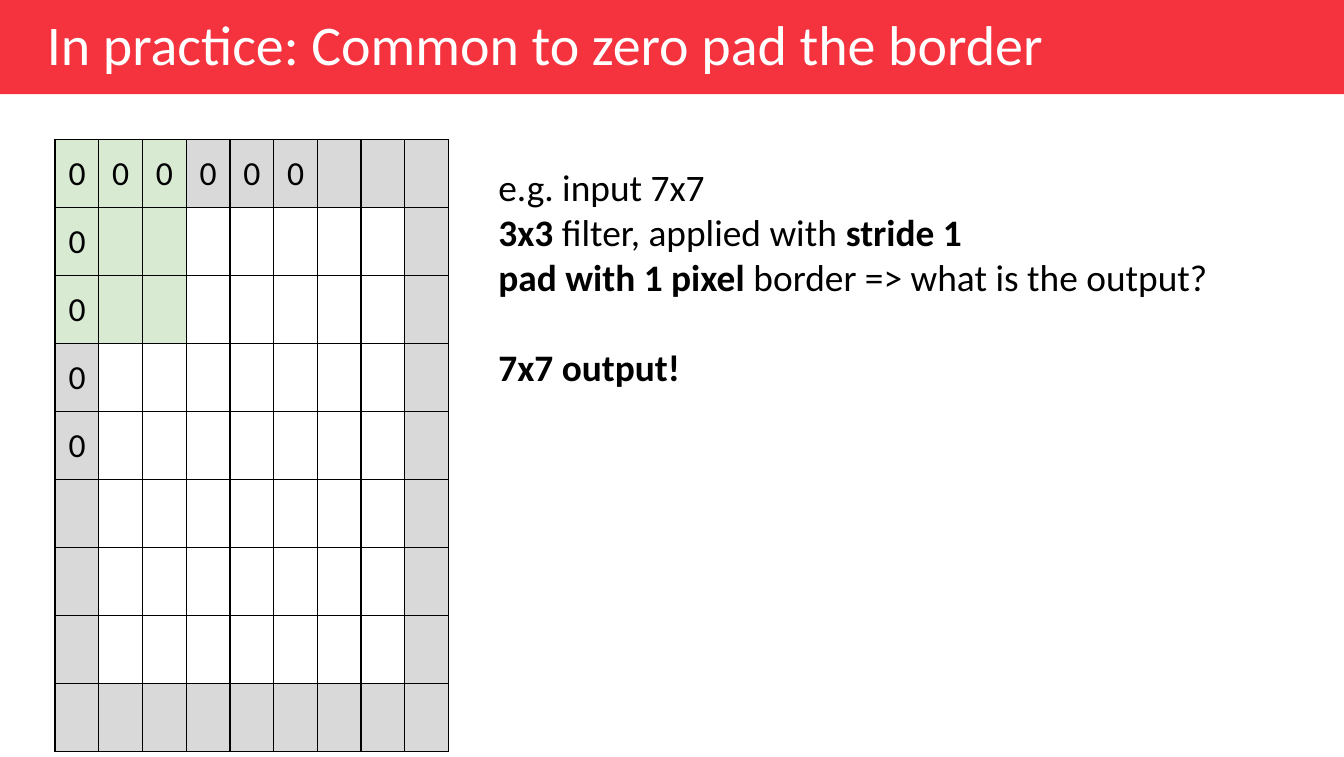
import pptx
import pptx.dml.color
import pptx.enum.shapes
import pptx.enum.text
import pptx.oxml
import pptx.oxml.ns
import pptx.util
from pptx.util import Inches

RGBColor = pptx.dml.color.RGBColor
RED = RGBColor(0xF5, 0x33, 0x3E)
GREEN = RGBColor(0xD9, 0xEA, 0xD3)
GRAY = RGBColor(0xD9, 0xD9, 0xD9)
WHITE = RGBColor(0xFF, 0xFF, 0xFF)
BLACK = RGBColor(0x00, 0x00, 0x00)
FONT = "Calibri"

# Content: each line is (space before in points, [(text, bold), ...])
TITLE = [(0, [("In practice: Common to zero pad the border", False)])]
BODY = [
    (0, [("e.g. input 7x7", False)]),
    (0, [("3x3", True), (" filter, applied with ", False), ("stride 1", True)]),
    (0, [("pad with 1 pixel", True), (" border => what is the output?", False)]),
    (24.4, [("7x7 output!", True)]),
]
GRID = 9            # 7x7 input plus one pixel of padding on each side
FILTER = 3
ZEROS_ACROSS, ZEROS_DOWN = 6, 5
COL_W, ROW_H = 2.93 / GRID, 0.5

BORDER = ('<a:{side} xmlns:a="http://schemas.openxmlformats.org/drawingml/2006/main" '
          'w="9525"><a:solidFill><a:srgbClr val="000000"/></a:solidFill></a:{side}>')


def style(obj, values):
    for name, value in values.items():
        setattr(obj, name, value)


def add_run(p, text, size, color, bold=False):
    r = p.add_run()
    r.text = text
    style(r.font, {"name": FONT, "size": pptx.util.Pt(size), "bold": bold})
    r.font.color.rgb = color


def add_text(s, box, lines, size, color):
    tf = s.shapes.add_textbox(*map(Inches, box)).text_frame
    style(tf, {"word_wrap": True,
               "vertical_anchor": pptx.enum.text.MSO_ANCHOR.TOP,
               "margin_left": Inches(0.1), "margin_right": Inches(0.1),
               "margin_top": Inches(0.1), "margin_bottom": Inches(0.1)})
    for i, (space, runs) in enumerate(lines):
        p = tf.add_paragraph() if i else tf.paragraphs[0]
        if space:
            p.space_before = pptx.util.Pt(space)
        for text, bold in runs:
            add_run(p, text, size, color, bold)


def cell_color(row, col):
    if row < FILTER and col < FILTER:
        return GREEN
    on_border = row in (0, GRID - 1) or col in (0, GRID - 1)
    return GRAY if on_border else WHITE


def add_grid(s):
    table = s.shapes.add_table(GRID, GRID, Inches(0.41), Inches(1.04),
                               Inches(COL_W * GRID), Inches(ROW_H * GRID)).table
    style(table, {"first_row": False, "horz_banding": False})
    for column in table.columns:
        column.width = Inches(COL_W)
    for row in range(GRID):
        table.rows[row].height = Inches(ROW_H)
        for col in range(GRID):
            cell = table.cell(row, col)
            style(cell, {"margin_left": Inches(0.1), "margin_right": Inches(0.1),
                         "margin_top": Inches(0.1), "margin_bottom": Inches(0.1)})
            # Borders come before the fill in the cell properties
            tc_pr = cell.fill._xPr
            for side in ("lnL", "lnR", "lnT", "lnB"):
                tc_pr.append(pptx.oxml.parse_xml(BORDER.format(side=side)))
            cell.fill.solid()
            cell.fill.fore_color.rgb = cell_color(row, col)
            tc_pr.append(tc_pr.find(pptx.oxml.ns.qn("a:solidFill")))
            if (row == 0 and col < ZEROS_ACROSS) or (col == 0 and row < ZEROS_DOWN):
                add_run(cell.text_frame.paragraphs[0], "0", 18, BLACK)


def main():
    prs = pptx.Presentation()
    style(prs, {"slide_width": Inches(10), "slide_height": Inches(5.63)})
    s = prs.slides.add_slide(prs.slide_layouts[6])

    # Title band
    sp = s.shapes.add_shape(pptx.enum.shapes.MSO_SHAPE.RECTANGLE,
                            0, 0, prs.slide_width, Inches(0.7))
    sp.shadow.inherit = False
    sp.fill.solid()
    sp.fill.fore_color.rgb = RED
    sp.line.fill.background()

    # Padded input, explanation and title
    add_grid(s)
    add_text(s, (3.61, 1.12, 6.39, 1.62), BODY, 20, BLACK)
    add_text(s, (0.25, -0.03, 9.06, 0.81), TITLE, 30, WHITE)

    prs.save("out.pptx")


if __name__ == "__main__":
    main()
